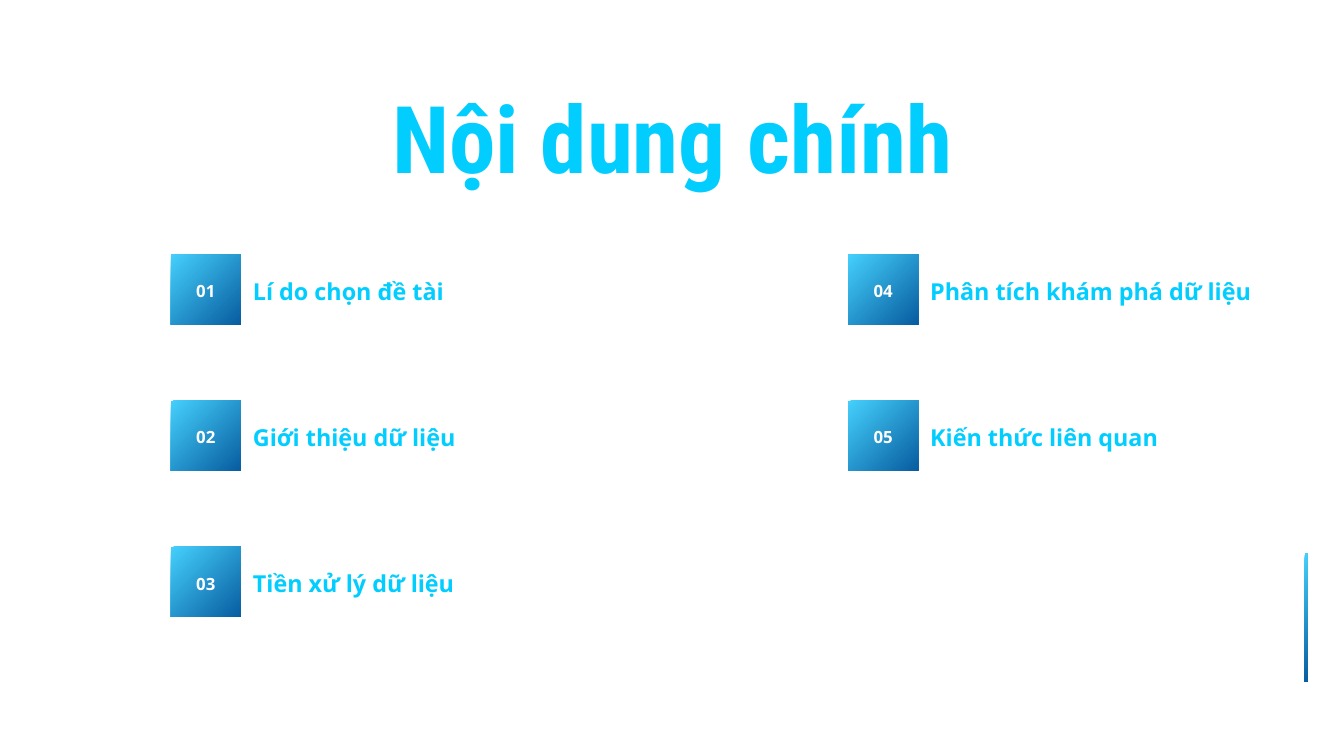
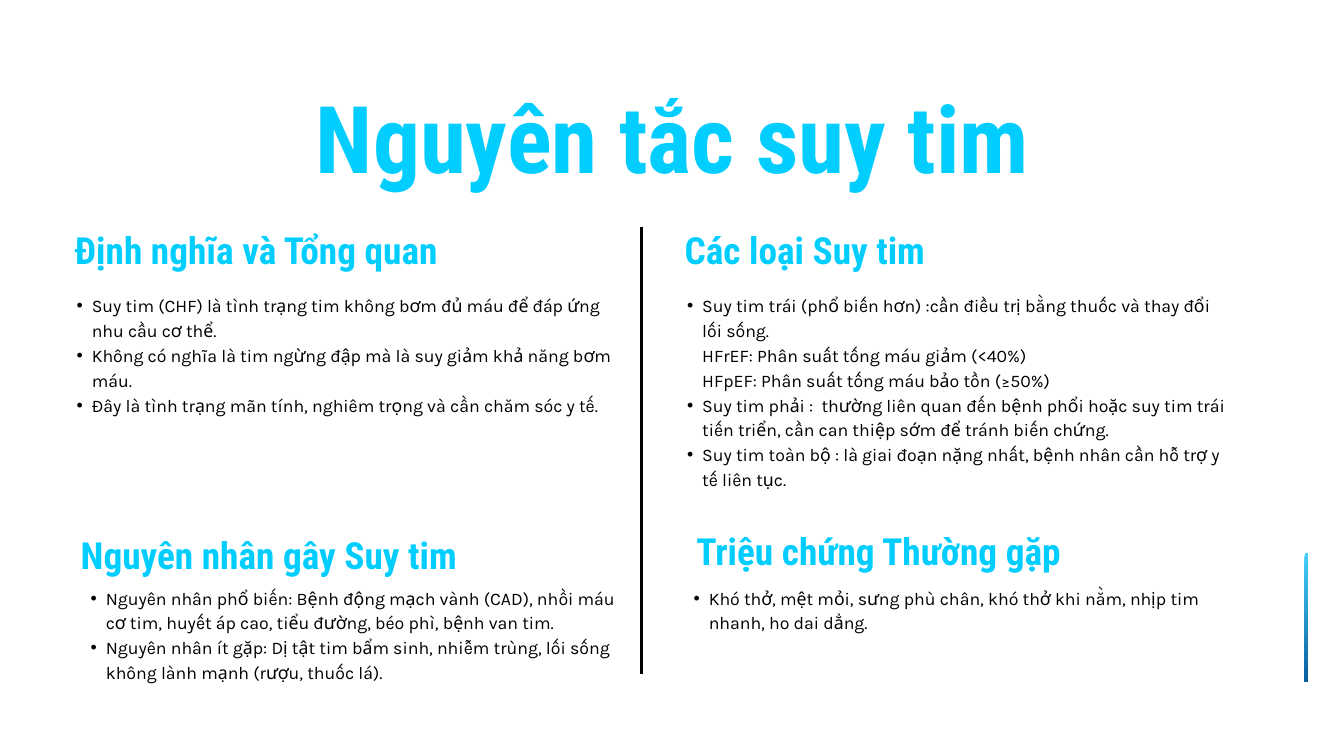
import pptx
import pptx.util
import pptx.dml.color
import pptx.enum.shapes
import pptx.enum.text
import pptx.oxml
import pptx.oxml.ns

Pt = pptx.util.Pt
RGBColor = pptx.dml.color.RGBColor
Align = pptx.enum.text.PP_ALIGN

CYAN = RGBColor(0x02, 0xCD, 0xFF)
SKY = RGBColor(0x45, 0xD0, 0xFC)
NAVY = RGBColor(0x08, 0x5D, 0xA0)
WHITE = RGBColor(0xFF, 0xFF, 0xFF)
BLACK = RGBColor(0, 0, 0)

STYLES = {
    "title": {"size": Pt(100), "name": "Roboto Condensed", "bold": True},
    "heading": {"size": Pt(40), "name": "Roboto Condensed", "bold": True},
    "label": {"size": Pt(25), "name": "Open Sans", "bold": True},
    "number": {"size": Pt(18), "name": "Open Sans", "bold": True},
    "body": {"size": Pt(19), "name": "Karla", "bold": False},
}
COLOURS = {"title": CYAN, "heading": CYAN, "label": CYAN, "number": WHITE, "body": BLACK}
CENTRED = ("title", "number")
LINE_FACTOR = 1.4

AGENDA_TITLE = "Nội dung chính"
AGENDA = [
    ("Lí do chọn đề tài", 228),
    ("Giới thiệu dữ liệu", 228),
    ("Tiền xử lý dữ liệu", 228),
    ("Phân tích khám phá dữ liệu", 401),
    ("Kiến thức liên quan", 325),
]
AGENDA_ROWS = 3
AGENDA_LEFT, AGENDA_TOP = 183, 272.3
COLUMN_STEP, ROW_STEP = 725.7, 156.8
TILE = 75.2

HEART_TITLE = "Nguyên tắc suy tim"
SECTIONS = [
    {
        "heading": ("Định nghĩa và Tổng quan", 80, 235.5, 415),
        "body_at": (66, 312.5, 598, 157),
        "body": [
            ("•", "Suy tim (CHF) là tình trạng tim không bơm đủ máu để đáp ứng nhu cầu cơ thể."),
            ("•", "Không có nghĩa là tim ngừng đập mà là suy giảm khả năng bơm máu."),
            ("•", "Đây là tình trạng mãn tính, nghiêm trọng và cần chăm sóc y tế."),
        ],
    },
    {
        "heading": ("Nguyên nhân gây Suy tim", 86.5, 562.5, 408),
        "body_at": (81, 625.5, 591, 104),
        "body": [
            ("•", "Nguyên nhân phổ biến: Bệnh động mạch vành (CAD), nhồi máu cơ tim, "
                  "huyết áp cao, tiểu đường, béo phì, bệnh van tim."),
            ("•", "Nguyên nhân ít gặp: Dị tật tim bẩm sinh, nhiễm trùng, "
                  "lối sống không lành mạnh (rượu, thuốc lá)."),
        ],
    },
    {
        "heading": ("Các loại Suy tim", 733.5, 235.5, 415),
        "body_at": (720, 312.5, 598, 235),
        "body": [
            ("•", "Suy tim trái (phổ biến hơn) :cần điều trị bằng thuốc và thay đổi lối sống."),
            (None, "HFrEF: Phân suất tống máu giảm (<40%)"),
            (None, "HFpEF: Phân suất tống máu bảo tồn (≥50%)"),
            ("•", "Suy tim phải :  thường liên quan đến bệnh phổi hoặc suy tim trái "
                  "tiến triển, cần can thiệp sớm để tránh biến chứng."),
            ("•", "Suy tim toàn bộ : là giai đoạn nặng nhất, bệnh nhân cần hỗ trợ y tế liên tục."),
        ],
    },
    {
        "heading": ("Triệu chứng Thường gặp", 746, 557.5, 408),
        "body_at": (727, 625.5, 591, 52),
        "body": [
            ("•", "Khó thở, mệt mỏi, sưng phù chân, khó thở khi nằm, nhịp tim nhanh, ho dai dẳng."),
        ],
    },
]


def add_child(parent, tag, **attributes):
    child = pptx.oxml.parse_xml(f"<{tag} {pptx.oxml.ns.nsdecls('a')}/>")
    for name, value in attributes.items():
        child.set(name, value)
    parent.append(child)


def indent(para, bullet):
    properties = para._p.get_or_add_pPr()
    properties.set("marL", str(Pt(32.4)))
    properties.set("indent", str(Pt(-16.2) if bullet else 0))
    if bullet:
        add_child(properties, "a:buFont", typeface="Arial")
        add_child(properties, "a:buChar", char=bullet)


def add_text(page, style, left, top, width, height, texts, bullets=None):
    box = page.shapes.add_textbox(Pt(left), Pt(top), Pt(width), Pt(height))
    frame = box.text_frame
    settings = {
        "word_wrap": True,
        "auto_size": pptx.enum.text.MSO_AUTO_SIZE.SHAPE_TO_FIT_TEXT,
        "margin_left": 0, "margin_right": 0, "margin_top": 0, "margin_bottom": 0,
    }
    for name, value in settings.items():
        setattr(frame, name, value)
    for index, text in enumerate(texts):
        para = frame.add_paragraph() if index else frame.paragraphs[0]
        if bullets:
            indent(para, bullets[index])
        para.alignment = Align.CENTER if style in CENTRED else Align.LEFT
        para.line_spacing = Pt(STYLES[style]["size"].pt * LINE_FACTOR)
        span = para.add_run()
        span.text = text
        for name, value in STYLES[style].items():
            setattr(span.font, name, value)
        span.font.color.rgb = COLOURS[style]


def add_gradient_block(page, left, top, width, height):
    block = page.shapes.add_shape(
        pptx.enum.shapes.MSO_SHAPE.RECTANGLE, Pt(left), Pt(top), Pt(width), Pt(height))
    block.shadow.inherit = False
    block.line.fill.background()
    block.fill.gradient()
    block.fill.gradient_angle = 315
    for stop, colour in zip(block.fill.gradient_stops, (SKY, NAVY)):
        stop.color.rgb = colour


def add_page(deck, title):
    page = deck.slides.add_slide(deck.slide_layouts[6])
    page.background.fill.solid()
    page.background.fill.fore_color.rgb = WHITE
    add_gradient_block(page, 1397.7, 592.8, 3.75, 137.2)
    add_text(page, "title", 183, 65.5, 1075, 135, [title])
    return page


def build_agenda(deck):
    page = add_page(deck, AGENDA_TITLE)
    for index, (label, width) in enumerate(AGENDA):
        column, row = divmod(index, AGENDA_ROWS)
        left = AGENDA_LEFT + column * COLUMN_STEP
        top = AGENDA_TOP + row * ROW_STEP
        add_gradient_block(page, left, top, TILE, TILE)
        add_text(page, "number", left + 18, top + 25, 39, 24, [f"{index + 1:02d}"])
        add_text(page, "label", left + 88, top + 19.3, width, 33, [label])


def build_heart_failure(deck):
    page = add_page(deck, HEART_TITLE)
    for section in SECTIONS:
        heading, left, top, width = section["heading"]
        add_text(page, "heading", left, top, width, 54, [heading])
        bullets, texts = zip(*section["body"])
        add_text(page, "body", *section["body_at"], texts, bullets)
    divider = page.shapes.add_connector(
        pptx.enum.shapes.MSO_CONNECTOR.STRAIGHT, Pt(687), Pt(243.5), Pt(687), Pt(722))
    divider.line.color.rgb = BLACK
    divider.line.width = Pt(3)
    add_child(divider._element.spPr, "a:effectLst")


def main():
    deck = pptx.Presentation()
    deck.slide_width, deck.slide_height = Pt(1440), Pt(810)
    build_agenda(deck)
    build_heart_failure(deck)
    deck.save("out.pptx")


if __name__ == "__main__":
    main()
